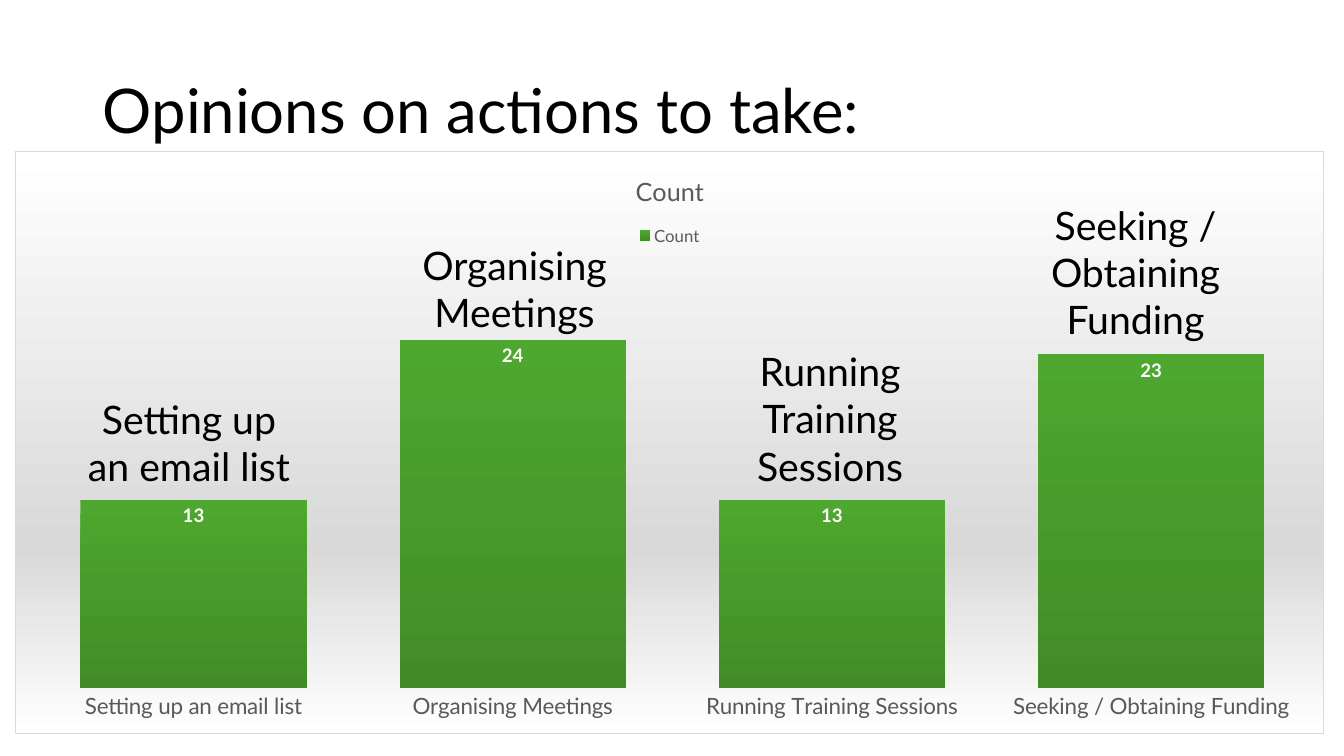
from lxml import etree
from pptx import Presentation
from pptx.chart.data import CategoryChartData
from pptx.dml.color import RGBColor
from pptx.enum import chart as ch, text
from pptx.oxml import parse_xml
from pptx.oxml.ns import nsdecls, qn
from pptx.util import Pt


def rgb(value):
    return RGBColor.from_string(value)


def style(font, size, color, bold=False):
    values = {"name": "Lato", "size": Pt(size), "bold": bold}
    for key, value in values.items():
        setattr(font, key, value)
    font.color.rgb = rgb(color)


prs = Presentation()
prs.slide_width, prs.slide_height = Pt(960), Pt(540)
s = prs.slides.add_slide(prs.slide_layouts[5])

# Title
title = s.shapes.title
title.left, title.top, title.width, title.height = Pt(66.24), Pt(28.8), Pt(828), Pt(104.4)
tf = title.text_frame
tf.text = "Opinions on actions to take:"
tf.vertical_anchor = text.MSO_ANCHOR.MIDDLE
tf.auto_size = text.MSO_AUTO_SIZE.NONE
p = tf.paragraphs[0]
p.alignment, p.line_spacing = text.PP_ALIGN.LEFT, 0.9
style(p.runs[0].font, 44, "000000")

# Actions: name, votes, and left, top, height of the large label
actions = [
    ("Setting up an email list", 13, 51.12, 278.64, 74.88),
    ("Organising Meetings", 24, 283.68, 168.48, 74.88),
    ("Running Training Sessions", 13, 509.04, 244.8, 108.72),
    ("Seeking / Obtaining Funding", 23, 727.2, 140.4, 108.72),
]

# Column chart
data = CategoryChartData()
data.categories = [action[0] for action in actions]
data.add_series("Count", [action[1] for action in actions])
chart = s.shapes.add_chart(ch.XL_CHART_TYPE.COLUMN_CLUSTERED, Pt(10.8), Pt(108),
                           Pt(935.28), Pt(416.16), data).chart
style(chart.font, 10, "000000")

chart.has_title = True
tf = chart.chart_title.text_frame
tf.text = "Count"
style(tf.paragraphs[0].runs[0].font, 18, "595959")
chart.chart_title.include_in_layout = False

chart.has_legend = True
chart.legend.position = ch.XL_LEGEND_POSITION.TOP
chart.legend.include_in_layout = False
style(chart.legend.font, 12, "595959")

# Axes
cat, val = chart.category_axis, chart.value_axis
cat.major_tick_mark = cat.minor_tick_mark = ch.XL_TICK_MARK.NONE
cat.format.line.fill.background()
style(cat.tick_labels.font, 16, "595959")
val.minimum_scale, val.maximum_scale = 0, 30
val.has_major_gridlines = False
val.visible = False

# Columns and their values
plot = chart.plots[0]
plot.gap_width, plot.vary_by_categories = 41, False
fill = plot.series[0].format.fill
fill.gradient()
fill.gradient_angle = 270
for stop, color in zip(fill.gradient_stops, ("4EA72E", "428C27")):
    stop.color.rgb = rgb(color)
plot.has_data_labels = True
labels = plot.data_labels
labels.show_value = True
labels.position = ch.XL_LABEL_POSITION.INSIDE_END
style(labels.font, 13.3, "FFFFFF", True)

# Plot area position
area = chart._chartSpace.chart.plotArea
for old in area.findall(qn("c:layout")):
    area.remove(old)
layout = parse_xml(f'<c:layout {nsdecls("c")}><c:manualLayout/></c:layout>')
settings = {"layoutTarget": "inner", "xMode": "edge", "yMode": "edge",
            "x": 0.014, "y": 0.174, "w": 0.976, "h": 0.749}
for tag, value in settings.items():
    etree.SubElement(layout[0], qn(f"c:{tag}")).set("val", str(value))
area.insert(0, layout)

# Chart background and border
stops = "".join(f'<a:gs pos="{pos}000"><a:srgbClr val="{color}"/></a:gs>'
                for pos, color in ((0, "FFFFFF"), (68, "D9D9D9"), (100, "FFFFFF")))
chart._chartSpace.chart.addnext(parse_xml(
    f'<c:spPr {nsdecls("c", "a")}><a:gradFill><a:gsLst>{stops}</a:gsLst>'
    '<a:lin ang="5400000" scaled="0"/></a:gradFill><a:ln w="9525"><a:solidFill>'
    '<a:srgbClr val="D9D9D9"/></a:solidFill></a:ln></c:spPr>'))

# Large labels above the columns
for name, votes, left, top, height in actions:
    tf = s.shapes.add_textbox(Pt(left), Pt(top), Pt(167.76), Pt(height)).text_frame
    tf.word_wrap = True
    tf.auto_size = text.MSO_AUTO_SIZE.SHAPE_TO_FIT_TEXT
    p = tf.paragraphs[0]
    p.alignment = text.PP_ALIGN.CENTER
    r = p.add_run()
    r.text = name
    style(r.font, 28, "000000")

prs.save("out.pptx")
